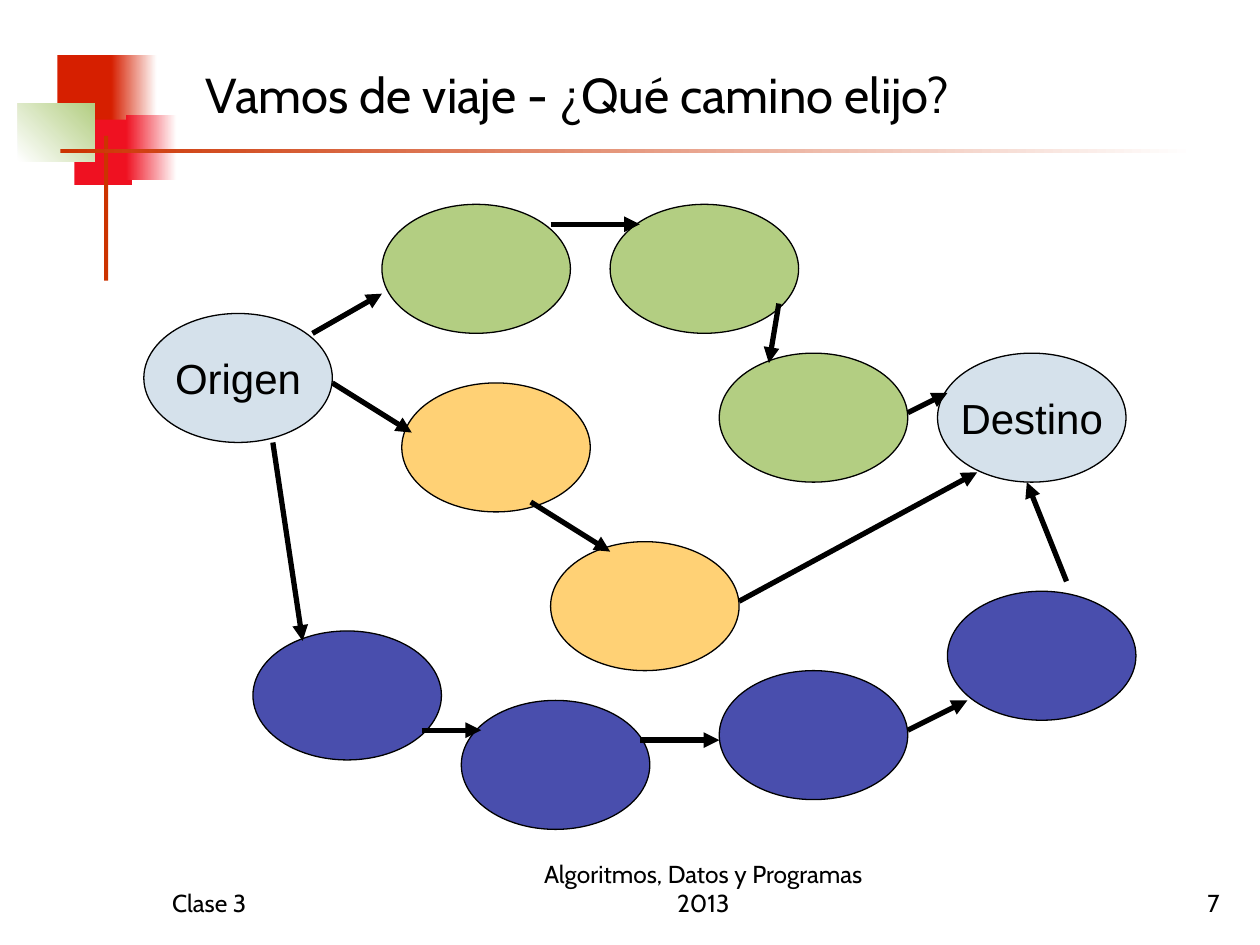
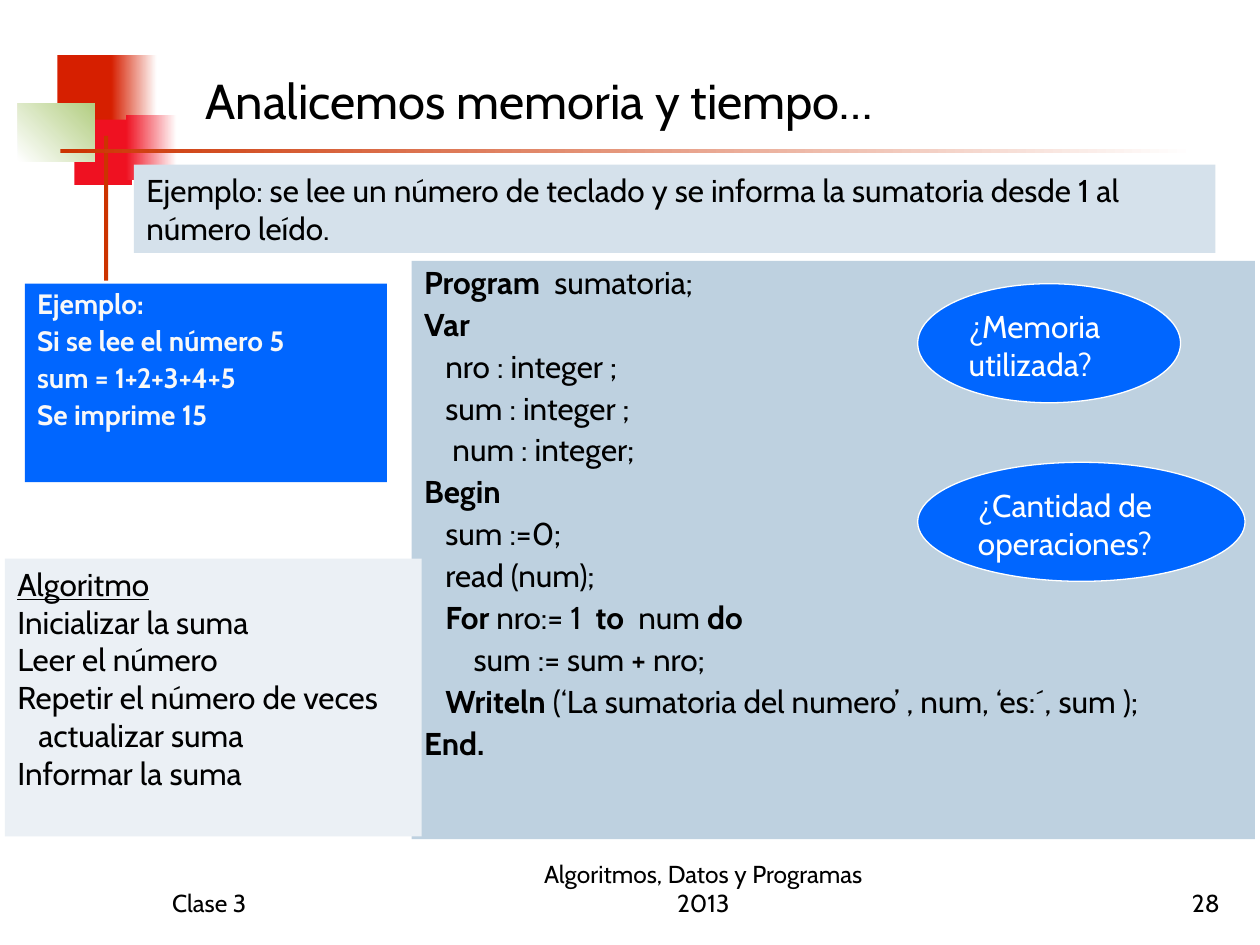
"""Build two class slides: a route map and a memory and time analysis."""
from dataclasses import dataclass

from lxml import etree
from pptx import Presentation
from pptx import util as u
from pptx.dml.color import RGBColor
from pptx.enum import shapes, text
from pptx.oxml import ns


@dataclass(frozen=True)
class Theme:
    """Colours, fonts and type sizes of the deck."""
    black: str = "000000"
    white: str = "FFFFFF"
    soft_white: str = "F8F8F8"
    brick: str = "D61F00"
    red: str = "EF1121"
    rust: str = "CC3300"
    green: str = "B3CE82"
    yellow: str = "FFD175"
    indigo: str = "494EAD"
    blue: str = "0066FF"
    mist: str = "D5E1EB"
    steel: str = "BED1E0"
    pale: str = "EBF0F5"
    body_font: str = "Cabin"
    node_font: str = "Arial"
    title: int = 28
    node: int = 24
    body: int = 18
    note: int = 16
    footer: int = 14
    outline: float = 0.75
    arrow: float = 3


THEME = Theme()
CELL = u.Mm(2)
ORIGIN = u.Mm(1), u.Mm(1.2)
NODE_SIZE = 19, 13
OVAL = shapes.MSO_SHAPE.OVAL
RECTANGLE = shapes.MSO_SHAPE.RECTANGLE
ALIGN = text.PP_ALIGN
ANCHOR = text.MSO_ANCHOR

ROUTE_NODES = {
    THEME.mist: [(14, 31, "Origen"), (94, 35, "Destino")],
    THEME.green: [(38, 20, ""), (61, 20, ""), (72, 35, "")],
    THEME.yellow: [(40, 38, ""), (55, 54, "")],
    THEME.indigo: [(25, 63, ""), (46, 70, ""), (72, 67, ""), (95, 59, "")],
}
ROUTE_ARROWS = [
    (31, 33, 38, 29), (55, 22, 64, 22), (78, 30, 77, 36), (91, 41, 95, 39),
    (33, 38, 41, 43), (53, 50, 61, 55), (74, 60, 98, 47),
    (27, 44, 30, 64), (42, 73, 48, 73), (64, 74, 72, 74), (91, 73, 97, 70),
    (107, 58, 103, 48),
]
KEYWORDS = {"Program", "Var", "Begin", "For", "to", "do", "Writeln", "End."}
CODE = [
    ["Program", "  sumatoria;"],
    ["Var"],
    ["   nro : integer ;"],
    ["   sum : integer ;"],
    ["    num : integer;"],
    ["Begin"],
    ["   sum :=0;"],
    ["   read (num);"],
    ["   ", "For", " nro:= 1  ", "to", "  num ", "do"],
    ["       sum := sum + nro;"],
    ["   ", "Writeln", " (‘La sumatoria del numero’ , num, ‘es:´, sum );"],
    ["End."],
]
EXAMPLE = [["Ejemplo:"], ["Si se lee el número 5"], ["sum = 1+2+3+4+5"],
           ["Se imprime 15"]]
ALGORITHM = [["Algoritmo"], ["Inicializar la suma"], ["Leer el número"],
             ["Repetir el número de veces"], ["actualizar suma"],
             ["Informar la suma"]]


def rgb(code):
    """Turn a hex code into a colour."""
    return RGBColor.from_string(code)


def point(column, row):
    """Place a grid point on the slide."""
    return ORIGIN[0] + int(column * CELL), ORIGIN[1] + int(row * CELL)


def area(column, row, columns, rows):
    """Turn a grid area into left, top, width and height."""
    return *point(column, row), int(columns * CELL), int(rows * CELL)


def write(box, lines, size, color=THEME.black, font=THEME.body_font,
          align=ALIGN.LEFT, anchor=ANCHOR.TOP, wrap=True, bold=(),
          underlined=(), spacing=None, gap=0):
    """Write lines of spans into a box."""
    frame = box.text_frame
    frame.auto_size = text.MSO_AUTO_SIZE.NONE
    frame.word_wrap = wrap
    frame.vertical_anchor = anchor
    for index, line in enumerate(lines):
        para = frame.add_paragraph() if index else frame.paragraphs[0]
        para.alignment = align
        para.line_spacing = spacing
        para.space_before = u.Pt(gap if index else 0)
        for words in line:
            span = para.add_run()
            span.text = words
            span.font.name = font
            span.font.size = u.Pt(size)
            span.font.color.rgb = rgb(color)
            span.font.bold = words in bold
            span.font.underline = words in underlined
    return frame


def add_shape(page, kind, place, fill, line=None, fade=None, angle=0):
    """Add a preset shape with a plain fill, or one that fades to a colour."""
    shape = page.shapes.add_shape(kind, *area(*place))
    shape.shadow.inherit = False
    if fade:
        shape.fill.gradient()
        shape.fill.gradient_angle = angle
        for stop, color in zip(shape.fill.gradient_stops, (fill, fade)):
            stop.color.rgb = rgb(color)
    else:
        shape.fill.solid()
        shape.fill.fore_color.rgb = rgb(fill)
    if line:
        shape.line.color.rgb = rgb(line)
        shape.line.width = u.Pt(THEME.outline)
    else:
        shape.line.fill.background()
    return shape


def add_node(page, column, row, fill, label):
    """Add a stop of the route."""
    node = add_shape(page, OVAL, (column, row, *NODE_SIZE), fill, THEME.black)
    if label:
        write(node, [[label]], THEME.node, font=THEME.node_font,
              align=ALIGN.CENTER, anchor=ANCHOR.MIDDLE, wrap=False)


def add_arrow(page, start_column, start_row, end_column, end_row):
    """Add a straight arrow between two grid points."""
    arrow = page.shapes.add_connector(
        shapes.MSO_CONNECTOR.STRAIGHT,
        *point(start_column, start_row), *point(end_column, end_row))
    arrow.line.color.rgb = rgb(THEME.black)
    arrow.line.width = u.Pt(THEME.arrow)
    outline = arrow.line._get_or_add_ln()
    etree.SubElement(outline, ns.qn("a:tailEnd"), type="triangle")
    etree.SubElement(arrow._element.spPr, ns.qn("a:effectLst"))


def add_question(page, place, words):
    """Add a blue oval that asks a question."""
    oval = add_shape(page, OVAL, place, THEME.blue, THEME.white)
    write(oval, [[words]], THEME.body, THEME.white)


def add_emblem(page):
    """Add the coloured blocks and rules of the upper left corner."""
    for place, fill, fade, angle in [
        ((5.3, 4.95, 6.1, 6.6), THEME.brick, None, 0),
        ((10.7, 4.95, 4.6, 6.6), THEME.brick, THEME.white, 0),
        ((7, 11.45, 5.8, 6.6), THEME.red, None, 0),
        ((12.2, 10.95, 5.1, 6.6), THEME.red, THEME.white, 0),
        ((1.3, 9.8, 7.75, 5.85), THEME.white, THEME.green, 45),
        ((10, 13.1, 0.4, 14.6), THEME.rust, None, 0),
        ((5.6, 14.4, 114.3, 0.4), THEME.rust, THEME.white, 0),
    ]:
        add_shape(page, RECTANGLE, place, fill, fade=fade, angle=angle)


def add_footers(page, number):
    """Add the class, the course and the page number."""
    for column, columns, words, align in [
        (15.6, 26.4, "Clase 3", ALIGN.LEFT),
        (50.4, 40, "Algoritmos, Datos y Programas 2013", ALIGN.CENTER),
        (97.3, 26.4, str(number), ALIGN.RIGHT),
    ]:
        box = page.shapes.add_textbox(*area(column, 86.15, columns, 6.35))
        write(box, [[words]], THEME.footer, align=align, anchor=ANCHOR.BOTTOM)


def add_page(deck, title, number, title_bottom):
    """Add a titled page with the shared emblem and footers."""
    page = deck.slides.add_slide(deck.slide_layouts.get_by_name("Title Only"))
    add_emblem(page)
    heading = page.shapes.title
    rows = 8.5
    place = area(18.95, title_bottom - rows, 94.2, rows)
    heading.left, heading.top, heading.width, heading.height = place
    write(heading, [[title]], THEME.title, anchor=ANCHOR.BOTTOM)
    add_footers(page, number)
    return page


def build_routes(deck):
    """Build the page with three routes from origin to destination."""
    page = add_page(deck, "Vamos de viaje - ¿Qué camino elijo?", 7, 12.45)
    for fill, nodes in ROUTE_NODES.items():
        for column, row, label in nodes:
            add_node(page, column, row, fill, label)
    for ends in ROUTE_ARROWS:
        add_arrow(page, *ends)


def build_analysis(deck):
    """Build the page that analyses memory and time of a program."""
    page = add_page(deck, "Analicemos memoria y tiempo…", 28, 13.1)
    code = add_shape(page, RECTANGLE, (41, 25.7, 85, 58.3), THEME.steel)
    write(code, CODE, THEME.body, align=ALIGN.JUSTIFY, bold=KEYWORDS,
          spacing=0.9, gap=4.5)
    statement = add_shape(page, RECTANGLE, (13, 16, 109, 8.9), THEME.mist)
    write(statement, [["Ejemplo: se lee un número de teclado y se informa la "
                       "sumatoria desde 1 al número leído."]], THEME.body)
    example = add_shape(page, RECTANGLE, (2, 28, 36.5, 20), THEME.blue)
    write(example, EXAMPLE, THEME.note, THEME.soft_white, align=ALIGN.JUSTIFY,
          bold={line[0] for line in EXAMPLE}, spacing=0.9, gap=4)
    algorithm = add_shape(page, RECTANGLE, (0, 55.7, 42, 28), THEME.pale)
    frame = write(algorithm, ALGORITHM, THEME.body, underlined={"Algoritmo"})
    loop_body = frame.paragraphs[ALGORITHM.index(["actualizar suma"])]
    loop_body._p.get_or_add_pPr().set("marL", str(u.Pt(12)))
    add_question(page, (92, 28, 26.5, 12), "¿Memoria utilizada?")
    add_question(page, (92, 46, 33, 12), "¿Cantidad de operaciones?")


def main():
    """Build and save the deck."""
    deck = Presentation()
    deck.slide_width, deck.slide_height = u.Inches(10), u.Inches(7.5)
    build_routes(deck)
    build_analysis(deck)
    deck.save("out.pptx")


if __name__ == "__main__":
    main()
